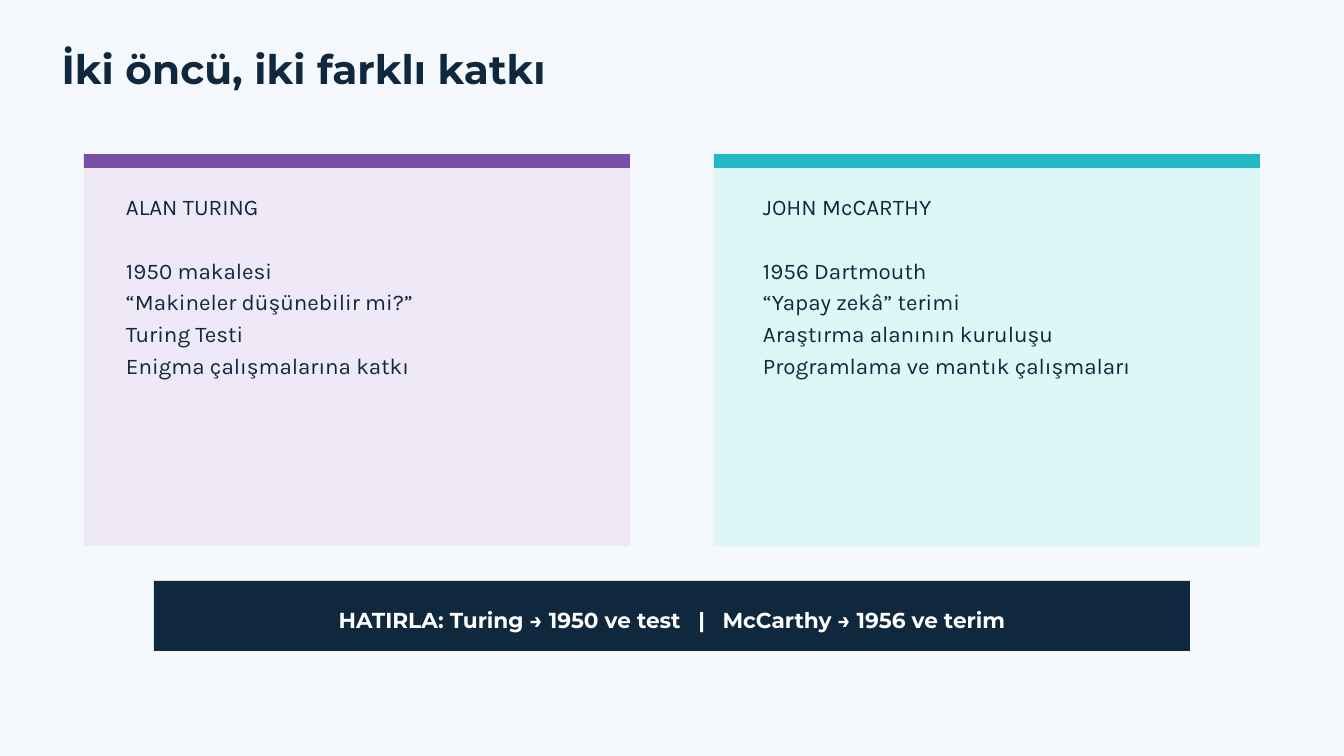
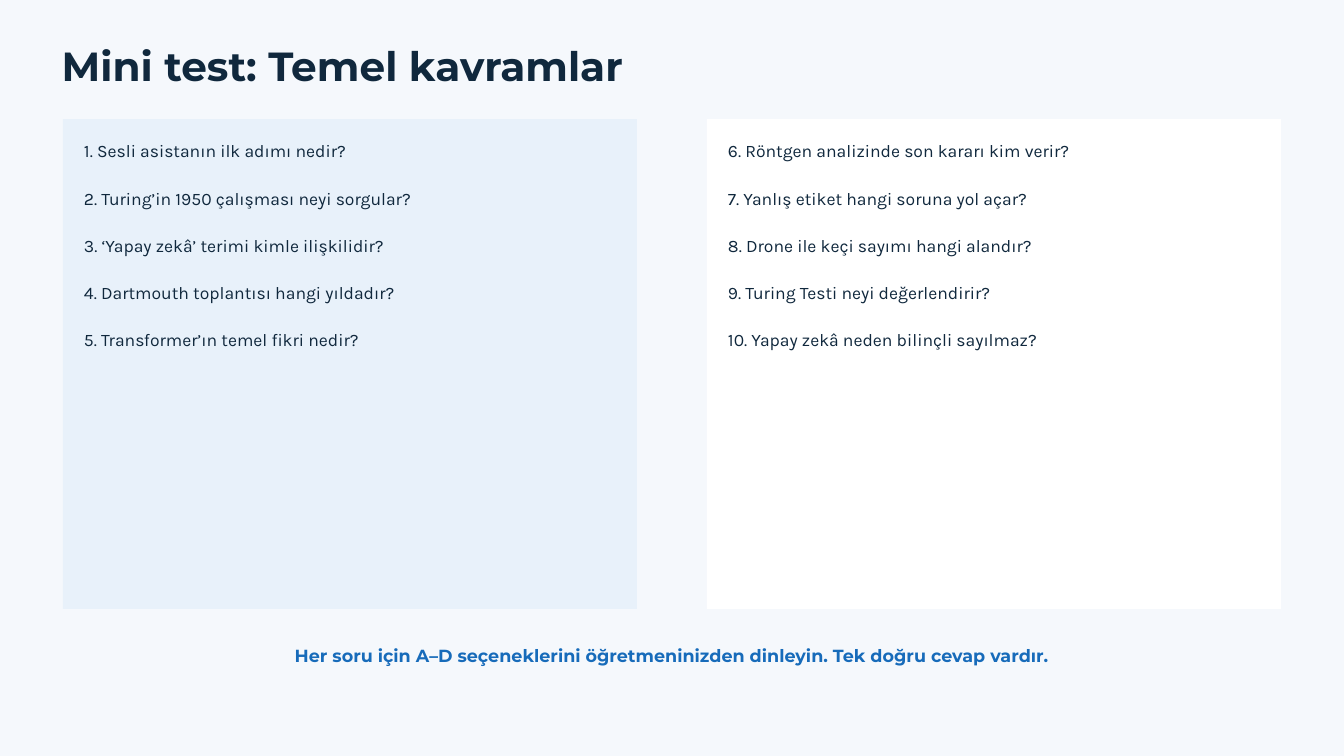
from pptx import Presentation
from pptx.dml.color import RGBColor
from pptx.enum.shapes import MSO_SHAPE
from pptx.enum.text import MSO_ANCHOR, MSO_AUTO_SIZE, PP_ALIGN
from pptx.util import Inches, Pt

WIDTH, HEIGHT = 20, 11.25
COLUMNS = 96  # square cells: 96 columns by 54 rows
CELL = WIDTH / COLUMNS

PAPER = RGBColor(0xF5, 0xF8, 0xFC)
NAVY = RGBColor(0x10, 0x28, 0x3D)
WHITE = RGBColor(0xFF, 0xFF, 0xFF)
BLUE = RGBColor(0x17, 0x6B, 0xBA)
PALE_BLUE = RGBColor(0xE8, 0xF1, 0xFA)
PURPLE = RGBColor(0x76, 0x50, 0xA6)
PALE_PURPLE = RGBColor(0xEE, 0xE8, 0xF7)
TEAL = RGBColor(0x24, 0xB8, 0xC4)
PALE_TEAL = RGBColor(0xDF, 0xF6, 0xF6)

HEADING, BODY = "Montserrat", "Karla"
TITLE_STYLE = {"name": HEADING, "size": Pt(43.5), "bold": True}
CARD_STYLE = {"name": BODY, "size": Pt(24), "bold": False}
REMINDER_STYLE = {"name": HEADING, "size": Pt(23.2), "bold": True}
QUESTION_STYLE = {"name": BODY, "size": Pt(18.8), "bold": False}
NOTE_STYLE = {"name": HEADING, "size": Pt(18.8), "bold": True}

FRAME_FORMAT = {
    "margin_left": 0, "margin_top": 0, "margin_right": 0, "margin_bottom": 0,
    "word_wrap": True, "vertical_anchor": MSO_ANCHOR.TOP,
    "auto_size": MSO_AUTO_SIZE.SHAPE_TO_FIT_TEXT,
}


def cells(*lengths):
    return [Inches(length * CELL) for length in lengths]


def apply_format(target, values):
    for name, value in values.items():
        setattr(target, name, value)


def format_paragraph(paragraph, style, color, line, align=PP_ALIGN.LEFT, before=0):
    apply_format(paragraph, {"alignment": align, "line_spacing": Pt(line),
                             "space_before": Pt(before)})
    apply_format(paragraph.font, style)
    paragraph.font.color.rgb = color


def add_panel(slide, box, color):
    panel = slide.shapes.add_shape(MSO_SHAPE.RECTANGLE, *cells(*box))
    panel.shadow.inherit = False
    panel.fill.solid()
    panel.fill.fore_color.rgb = color
    panel.line.fill.background()


def add_text(slide, box, lines, style, color, line, align=PP_ALIGN.LEFT, gaps=()):
    """Write one paragraph per line; gaps holds the indexes that follow an empty line's height."""
    frame = slide.shapes.add_textbox(*cells(*box)).text_frame
    apply_format(frame, FRAME_FORMAT)
    for index, text in enumerate(lines):
        paragraph = frame.add_paragraph() if index else frame.paragraphs[0]
        format_paragraph(paragraph, style, color, line, align,
                         line if index in gaps else 0)
        paragraph.add_run().text = text
    return frame


def add_titled_slide(presentation, title, top, width):
    slide = presentation.slides.add_slide(presentation.slide_layouts[5])
    placeholder = slide.shapes.title
    apply_format(placeholder, dict(zip(("left", "top", "width", "height"),
                                       cells(4.4, top, width, 3.07))))
    placeholder.text = title
    apply_format(placeholder.text_frame, FRAME_FORMAT)
    format_paragraph(placeholder.text_frame.paragraphs[0], TITLE_STYLE, NAVY, 45.7)
    return slide


def add_pioneer_card(slide, box, inset, lines, fill, accent):
    left, top, width, height = box
    add_panel(slide, box, fill)
    add_panel(slide, (left, top, width, 1), accent)
    add_text(slide, (left + inset, top + 2.44, 32.5, 13.44), lines,
             CARD_STYLE, NAVY, 34.1, gaps=(1,))


def add_reminder_bar(slide, box):
    left, top, width, height = box
    add_panel(slide, box, NAVY)
    frame = add_text(slide, (left + 3, top + 1.5, width - 6, 2.1),
                     ["HATIRLA: Turing → 1950 ve test"],
                     REMINDER_STYLE, WHITE, 32.5, PP_ALIGN.CENTER)
    paragraph = frame.paragraphs[0]
    divider = paragraph.add_run()
    divider.text = " |"
    divider._r.get_or_add_rPr().set("spc", "1220")  # widens both sides of the bar
    paragraph.add_run().text = " McCarthy → 1956 ve terim"


def add_question_panel(slide, box, questions, fill):
    left, top, width, height = box
    add_panel(slide, box, fill)
    add_text(slide, (left + 1.5, top + 1.34, width - 3, 14.83), questions,
             QUESTION_STYLE, NAVY, 25.3, gaps=range(1, len(questions)))


def build_pioneers_slide(presentation):
    slide = add_titled_slide(presentation, "İki öncü, iki farklı katkı", 3.6, 65)
    turing = ["ALAN TURING", "1950 makalesi", "“Makineler düşünebilir mi?”",
              "Turing Testi", "Enigma çalışmalarına katkı"]
    mccarthy = ["JOHN McCARTHY", "1956 Dartmouth", "“Yapay zekâ” terimi",
                "Araştırma alanının kuruluşu", "Programlama ve mantık çalışmaları"]
    add_pioneer_card(slide, (6, 11, 39, 28), 3, turing, PALE_PURPLE, PURPLE)
    add_pioneer_card(slide, (51, 11, 39, 28), 3.5, mccarthy, PALE_TEAL, TEAL)
    add_reminder_bar(slide, (11, 41.5, 74, 5))


def build_quiz_slide(presentation):
    slide = add_titled_slide(presentation, "Mini test: Temel kavramlar", 3.36, 60)
    first_half = ["1. Sesli asistanın ilk adımı nedir?",
                  "2. Turing’in 1950 çalışması neyi sorgular?",
                  "3. ‘Yapay zekâ’ terimi kimle ilişkilidir?",
                  "4. Dartmouth toplantısı hangi yıldadır?",
                  "5. Transformer’ın temel fikri nedir?"]
    second_half = ["6. Röntgen analizinde son kararı kim verir?",
                   "7. Yanlış etiket hangi soruna yol açar?",
                   "8. Drone ile keçi sayımı hangi alandır?",
                   "9. Turing Testi neyi değerlendirir?",
                   "10. Yapay zekâ neden bilinçli sayılmaz?"]
    add_question_panel(slide, (4.5, 8.5, 41, 35), first_half, PALE_BLUE)
    add_question_panel(slide, (50.5, 8.5, 41, 35), second_half, WHITE)
    add_text(slide, (12, 45.8, 72, 1.68),
             ["Her soru için A–D seçeneklerini öğretmeninizden dinleyin. "
              "Tek doğru cevap vardır."],
             NOTE_STYLE, BLUE, 26.2, PP_ALIGN.CENTER)


def main():
    presentation = Presentation()
    presentation.slide_width = Inches(WIDTH)
    presentation.slide_height = Inches(HEIGHT)
    background = presentation.slide_master.background.fill
    background.solid()
    background.fore_color.rgb = PAPER
    build_pioneers_slide(presentation)
    build_quiz_slide(presentation)
    presentation.save("out.pptx")


if __name__ == "__main__":
    main()
